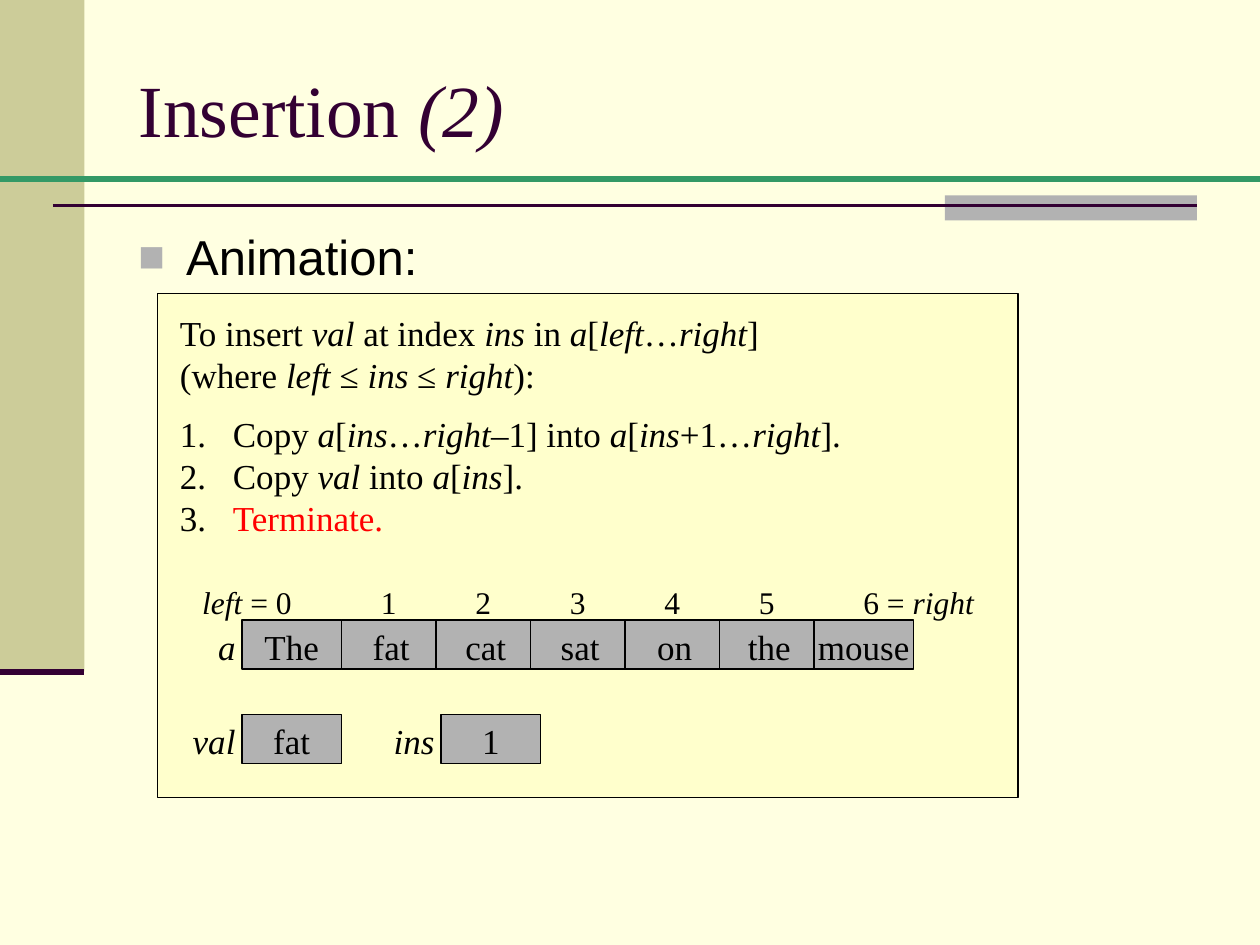
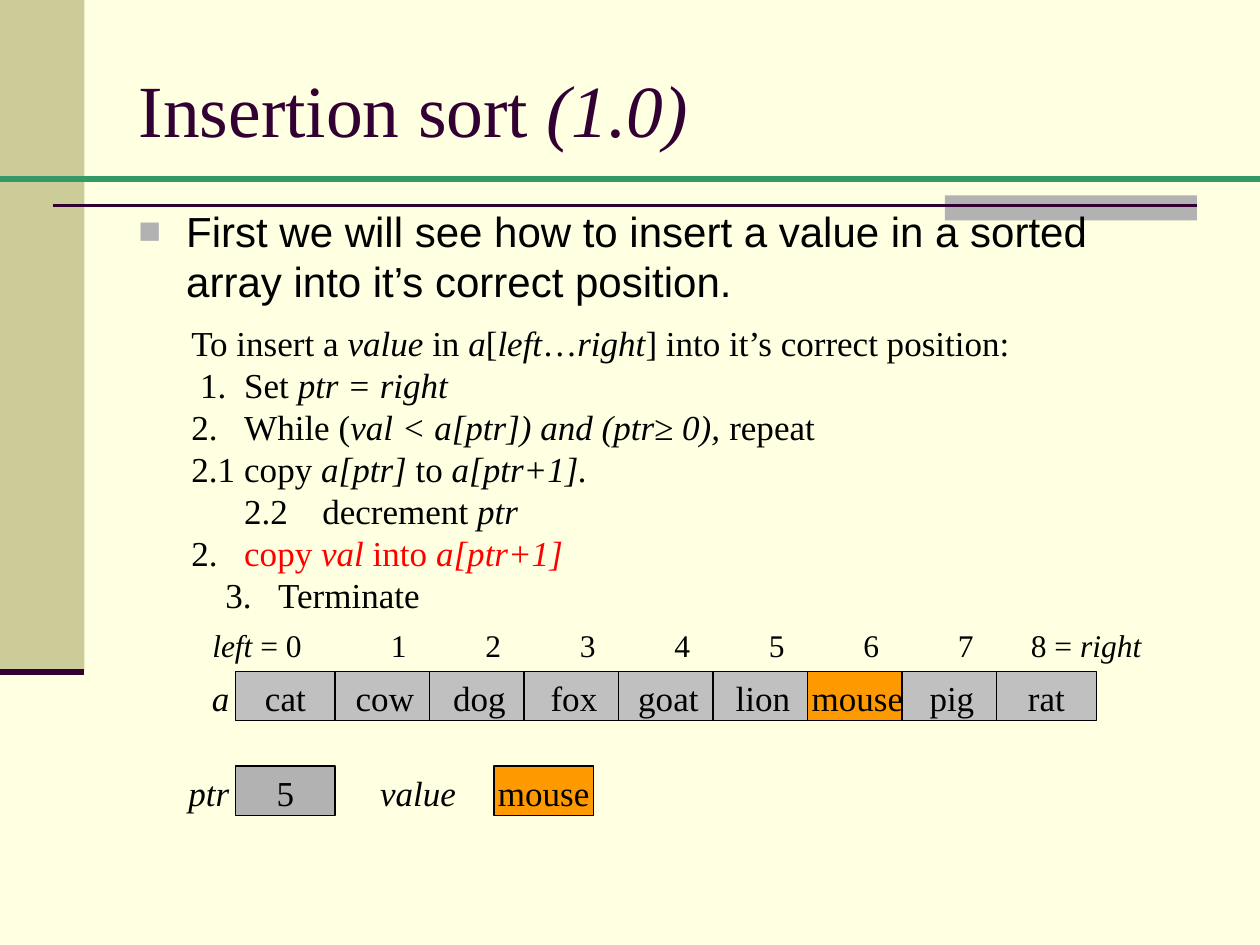
from lxml import etree
from pptx import Presentation
from pptx.dml.color import RGBColor
from pptx.enum.shapes import MSO_CONNECTOR, MSO_SHAPE
from pptx.enum.text import MSO_ANCHOR, MSO_AUTO_SIZE, PP_ALIGN
from pptx.oxml.ns import qn
from pptx.util import Inches, Pt

RECTANGLE = MSO_SHAPE.RECTANGLE
STRAIGHT = MSO_CONNECTOR.STRAIGHT
TOP, MIDDLE = MSO_ANCHOR.TOP, MSO_ANCHOR.MIDDLE
LEFT, CENTER, RIGHT = PP_ALIGN.LEFT, PP_ALIGN.CENTER, PP_ALIGN.RIGHT
NO_AUTOFIT = MSO_AUTO_SIZE.NONE

IVORY = RGBColor(0xFF, 0xFF, 0xE1)
CREAM = RGBColor(0xFF, 0xFF, 0xCC)
OLIVE = RGBColor(0xCC, 0xCC, 0x99)
PLUM = RGBColor(0x33, 0x00, 0x33)
GREEN = RGBColor(0x33, 0x99, 0x66)
GREY = RGBColor(0xB2, 0xB2, 0xB2)
SILVER = RGBColor(0xC0, 0xC0, 0xC0)
ORANGE = RGBColor(0xFF, 0x99, 0x00)
BLACK = RGBColor(0x00, 0x00, 0x00)
RED = RGBColor(0xFF, 0x00, 0x00)

SERIF, SANS = "Times New Roman", "Arial"
CELL_WIDTH, CELL_HEIGHT, CELL_STEP = 0.79, 0.39, 0.75
CELL_INSETS = (0.05, 0.04)


def write(para, text, size, color=BLACK, font=SERIF):
    """Write text where *stars* enclose italics and a bar starts the red part."""
    for part, shade in zip(text.split("|"), (color, RED)):
        for index, piece in enumerate(part.split("*")):
            if piece:
                span = para.add_run()
                span.text = piece
                span.font.name = font
                span.font.size = Pt(size)
                span.font.italic = index % 2 == 1
                span.font.color.rgb = shade


def set_frame(frame, wrap=True, insets=(0.1, 0.05), anchor=TOP):
    """Set wrapping, insets and anchor of a text frame."""
    frame.auto_size = NO_AUTOFIT
    frame.word_wrap = wrap
    frame.vertical_anchor = anchor
    frame.margin_left = frame.margin_right = Inches(insets[0])
    frame.margin_top = frame.margin_bottom = Inches(insets[1])


def add_text(slide, box, text, size, align=LEFT, font=SERIF, **frame_options):
    """Add a text box with one paragraph and return that paragraph."""
    frame = slide.shapes.add_textbox(*map(Inches, box)).text_frame
    set_frame(frame, **frame_options)
    para = frame.paragraphs[0]
    para.alignment = align
    write(para, text, size, font=font)
    return para


def add_rectangle(slide, box, fill, outline=None):
    """Add a flat rectangle, outlined if a colour is given."""
    shape = slide.shapes.add_shape(RECTANGLE, *map(Inches, box))
    shape.shadow.inherit = False
    shape.fill.solid()
    shape.fill.fore_color.rgb = fill
    if outline is None:
        shape.line.fill.background()
    else:
        shape.line.color.rgb = outline
        shape.line.width = Pt(0.75)
    return shape


def add_rule(slide, left, right, top, color, width):
    """Add a horizontal line without a shadow."""
    ends = map(Inches, (left, top, right, top))
    rule = slide.shapes.add_connector(STRAIGHT, *ends)
    rule.line.color.rgb = color
    rule.line.width = Pt(width)
    properties = rule._element.find(qn("p:spPr"))
    etree.SubElement(properties, qn("a:effectLst"))


def set_indent(para, margin, first_line):
    """Set the left margin and first-line indent in inches."""
    properties = para._p.get_or_add_pPr()
    properties.set("marL", str(Inches(margin)))
    properties.set("indent", str(Inches(first_line)))
    return properties


def add_bullet(slide, box, text, size):
    """Add body text with a grey square bullet."""
    para = add_text(slide, box, text, size, font=SANS)
    properties = set_indent(para, 0.38, -0.38)
    color = etree.SubElement(properties, qn("a:buClr"))
    etree.SubElement(color, qn("a:srgbClr"), val=str(GREY))
    etree.SubElement(properties, qn("a:buSzPct"), val="90000")
    etree.SubElement(properties, qn("a:buFont"), typeface=SANS)
    etree.SubElement(properties, qn("a:buChar"), char="■")


def add_page(deck, title):
    """Add a slide with the shared background, bands, rules and title."""
    page = deck.slides.add_slide(deck.slide_layouts[5])
    page.background.fill.solid()
    page.background.fill.fore_color.rgb = IVORY
    add_rectangle(page, (0, 0, 0.67, 5.33), OLIVE)
    add_rectangle(page, (7.5, 1.55, 2, 0.2), GREY)
    add_rule(page, 0.42, 9.5, 1.63, PLUM, 1.5)
    add_rule(page, 0, 0.67, 5.33, PLUM, 3.5)
    add_rule(page, 0, 10, 1.42, GREEN, 3)
    heading = page.shapes.title
    heading.left, heading.top = Inches(1), Inches(0.3)
    heading.width, heading.height = Inches(8.5), Inches(1.12)
    set_frame(heading.text_frame, anchor=MIDDLE)
    para = heading.text_frame.paragraphs[0]
    para.alignment = LEFT
    write(para, title, 42, PLUM)
    return page


def add_steps(slide, box, steps):
    """Add algorithm lines given as text, margin, first-line indent, space before."""
    frame = slide.shapes.add_textbox(*map(Inches, box)).text_frame
    set_frame(frame)
    for index, (text, margin, first_line, space) in enumerate(steps):
        para = frame.add_paragraph() if index else frame.paragraphs[0]
        para.space_before = Pt(space)
        set_indent(para, margin, first_line)
        write(para, text, 20)


def add_cell(slide, left, top, text, fill):
    """Add one memory cell with centred text."""
    box = (left, top, CELL_WIDTH, CELL_HEIGHT)
    cell = add_rectangle(slide, box, fill, BLACK)
    set_frame(cell.text_frame, wrap=False, insets=CELL_INSETS)
    para = cell.text_frame.paragraphs[0]
    para.alignment = CENTER
    write(para, text, 20)


def add_name(slide, right, top, name, width):
    """Add a variable name that ends at the given right edge."""
    add_text(slide, (right - width, top, width, 0.42), f"*{name}*", 20, RIGHT,
             wrap=False, insets=CELL_INSETS)


def add_array(slide, left, top, words, fill, name_width, marked=None):
    """Add the row of cells of array a, with one cell optionally marked."""
    for index, word in enumerate(words):
        gap = CELL_WIDTH - CELL_STEP if index else 0
        color = ORANGE if index == marked else fill
        add_cell(slide, left + index * CELL_STEP + gap, top, word, color)
    add_name(slide, left, top, "a", name_width)


def add_indices(slide, left, top, last, last_left):
    """Add the index labels from left = 0 up to the last one."""
    boxes = [(f"{index}", left + 1.42 + CELL_STEP * (index - 1), 0.33)
             for index in range(1, last)]
    boxes.insert(0, ("*left* = 0", left, 0.92))
    boxes.append((f"{last} = *right*", last_left, 1.08))
    for text, start, width in boxes:
        add_text(slide, (start, top, width, 0.4), text, 18, CENTER)


def add_insertion_panel(slide, left, top, width, height):
    """Add the framed insertion algorithm with its array and variables."""
    add_rectangle(slide, (left, top, width, height), CREAM, BLACK)
    add_steps(slide, (left + 0.08, top + 0.09, 6.1, 1.93), [
        ("To insert *val* at index *ins* in *a*[*left*…*right*]", 0, 0, 0),
        ("(where *left* ≤ *ins* ≤ *right*):", 0, 0, 0),
        ("1.\tCopy *a*[*ins*…*right*–1] into *a*[*ins*+1…*right*].",
         0.42, -0.42, 10),
        ("2.\tCopy *val* into *a*[*ins*].", 0.42, -0.42, 0),
        ("3.\t|Terminate.", 0.42, -0.42, 0),
    ])
    words = ["The", "fat", "cat", "sat", "on", "the", "mouse"]
    cells, row = left + 0.67, top + 2.59
    add_array(slide, cells, row, words, GREY, 0.5)
    add_indices(slide, left + 0.25, row - 0.34, len(words) - 1, left + 5.5)
    for name, value, start in (("val", "fat", cells), ("ins", "1", cells + 1.58)):
        add_cell(slide, start, row + 0.75, value, GREY)
        add_name(slide, start, row + 0.75, name, 0.5)


def add_sort_step(slide, left, top, width, height):
    """Add the sorted insertion algorithm with its array and variables."""
    add_steps(slide, (left, top, width, height), [
        ("To insert a *value* in *a*[*left*…*right*] into it’s correct position:",
         0, 0, 0),
        ("1.\tSet *ptr = right*", 0.42, -0.35, 0),
        ("2.\tWhile (*val < a[ptr]) and (ptr≥ 0),* repeat", 0.42, -0.42, 0),
        ("2.1\tcopy *a[ptr]* to *a[ptr+1].*", 0.42, -0.42, 0),
        ("2.2\tdecrement *ptr*", 1.04, -0.62, 0),
        ("2.\t|copy *val* into *a[ptr+1]*", 0.42, -0.42, 0),
        ("3.\tTerminate", 0.69, -0.42, 0),
    ])
    words = ["cat", "cow", "dog", "fox", "goat", "lion", "mouse", "pig", "rat"]
    cells, row = left + 0.45, top + 2.83
    add_array(slide, cells, row, words, SILVER, 0.33, words.index("mouse"))
    add_indices(slide, left + 0.16, row - 0.41, len(words) - 1, left + 6.66)
    add_cell(slide, cells, row + 0.75, "5", GREY)
    add_name(slide, cells, row + 0.75, "ptr", 0.33)
    add_cell(slide, cells + 2.05, row + 0.75, "mouse", ORANGE)
    add_name(slide, cells + 1.8, row + 0.75, "value", 0.75)


def main():
    """Build and save the two slides."""
    deck = Presentation()
    deck.slide_width, deck.slide_height = Inches(10), Inches(7.5)

    insertion = add_page(deck, "Insertion *(2)*")
    add_bullet(insertion, (1, 1.75, 8.5, 4.95), "Animation:", 28)
    add_insertion_panel(insertion, 1.25, 2.33, 6.83, 4)

    sorting = add_page(deck, "Insertion sort *(1.0)*")
    add_bullet(sorting, (1, 1.58, 8.5, 5.12),
               "First we will see how to insert a value in a sorted array "
               "into it’s correct position.", 24)
    add_sort_step(sorting, 1.42, 2.5, 7.17, 2.43)

    deck.save("out.pptx")


if __name__ == "__main__":
    main()
